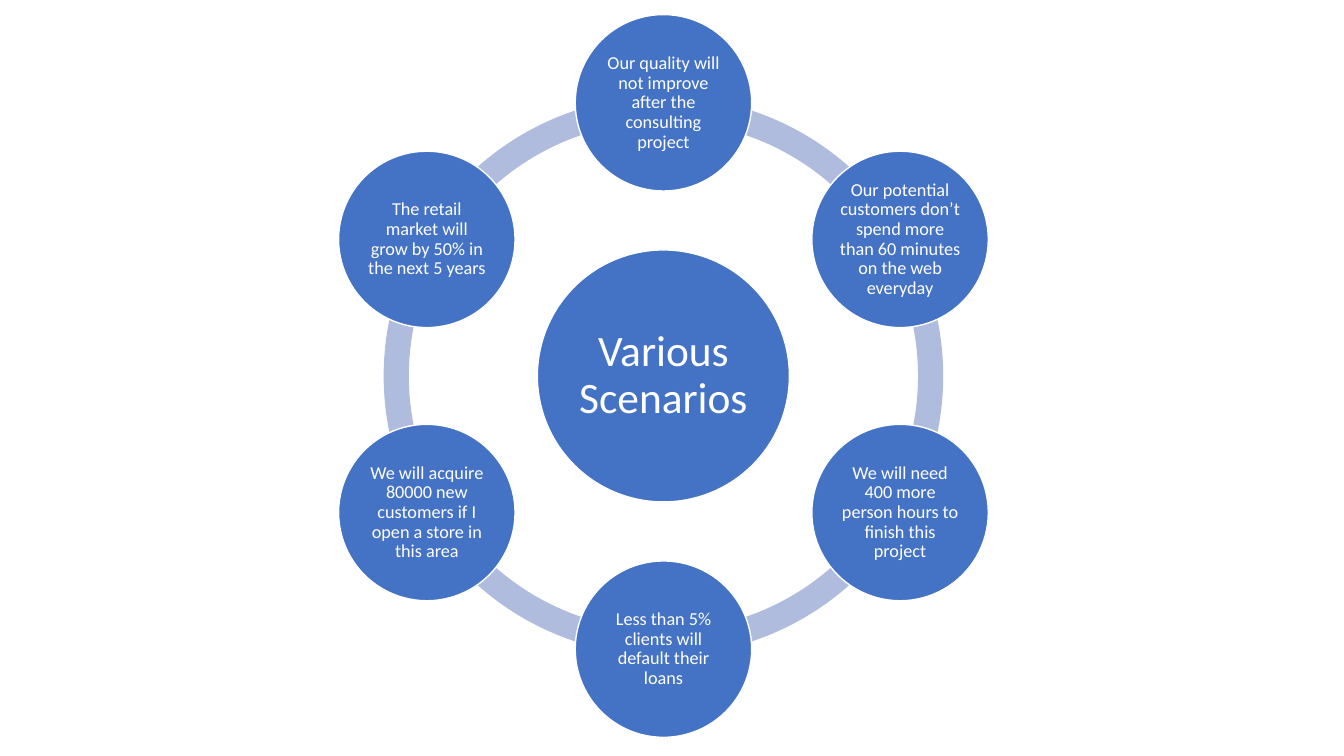
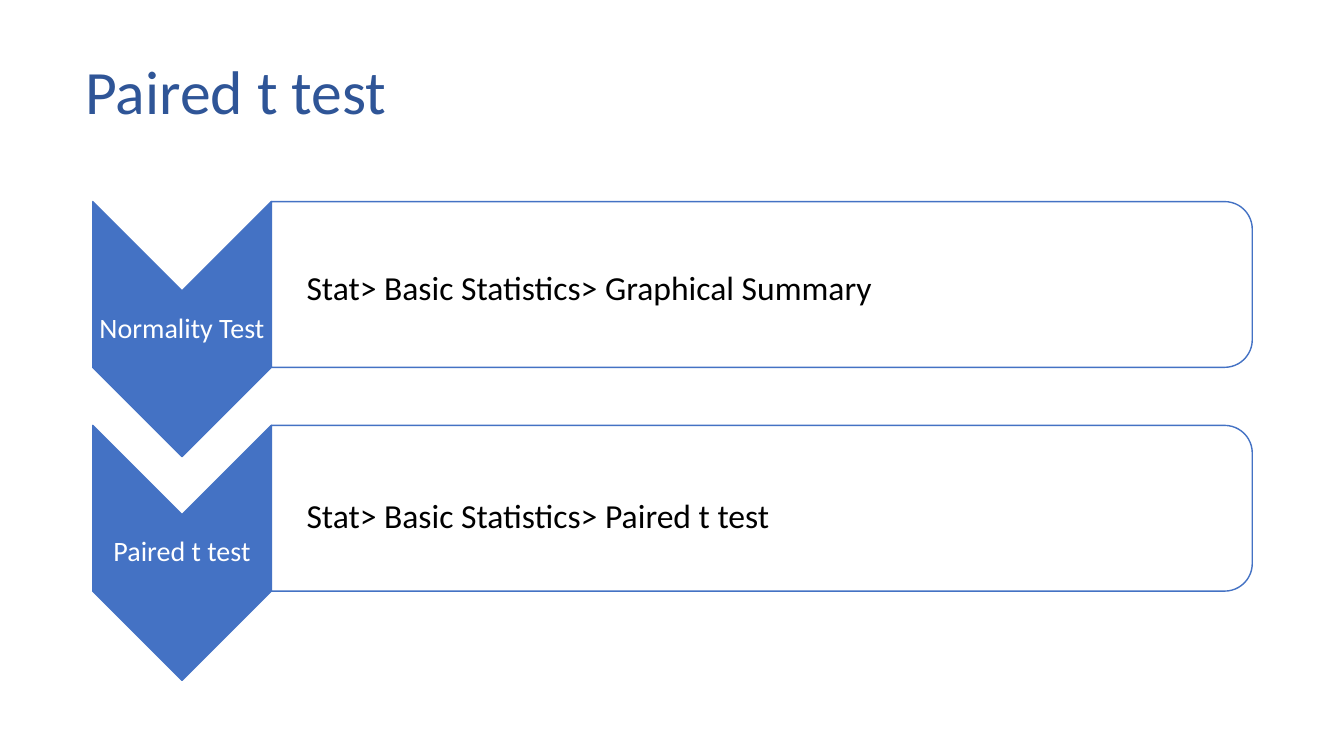
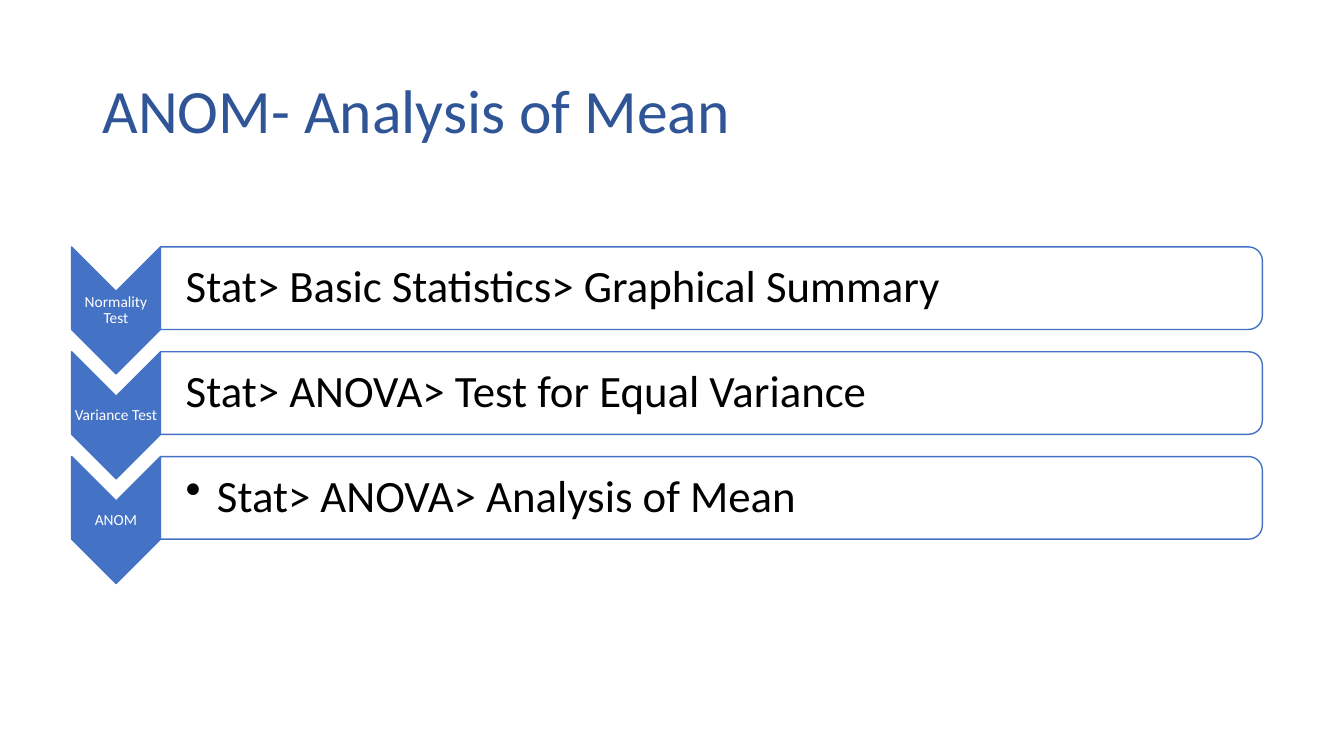
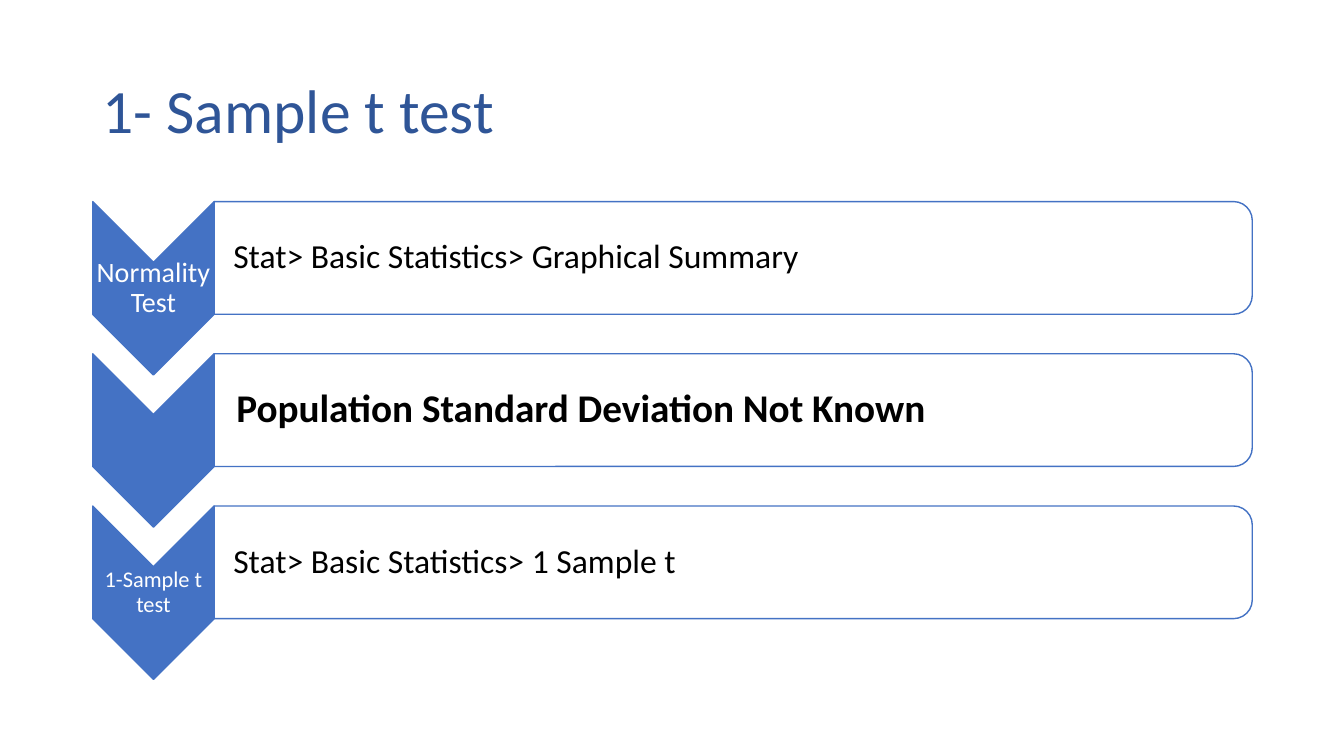
from math import cos, radians, sin

from lxml.etree import SubElement
from pptx import Presentation
from pptx.dml.color import RGBColor
from pptx.enum.shapes import MSO_SHAPE as SHAPE
from pptx.enum.text import MSO_ANCHOR as ANCHOR, PP_ALIGN as ALIGN
from pptx.oxml.ns import qn
from pptx.util import Inches, Pt

BLUE = RGBColor(0x44, 0x72, 0xC4)
DARK_BLUE = RGBColor(0x2F, 0x55, 0x97)
PALE_BLUE = RGBColor(0xB0, 0xBC, 0xDE)
WHITE = RGBColor(0xFF, 0xFF, 0xFF)
BLACK = RGBColor(0, 0, 0)
FONT = "Calibri"
SLIDE_SIZE = 13.33, 7.5

# Scenario wheel, clockwise from the top
HUB = "Various Scenarios"
SCENARIOS = [
    "Our quality will not improve after the consulting project",
    "Our potential customers don’t spend more than 60 minutes on the web everyday",
    "We will need 400 more person hours to finish this project",
    "Less than 5% clients will default their loans",
    "We will acquire 80000 new customers if I open a store in this area",
    "The retail market will grow by 50% in the next 5 years",
]
WHEEL_CENTER = 6.58, 3.73
ORBIT = 2.71
HUB_SIZE, NODE_SIZE, RING_SIZE = 2.5, 1.75, 5.55
RING_THICKNESS = 0.045

# Chevron lists; a step's "drop" lowers its text below the middle of the panel
PROCEDURES = [
    {
        "title": "Paired t test", "title_box": (0.75, 0.4, 11.67, 1.08),
        "left": 0.92, "top": 2, "right": 12.42, "chevron": 2.53, "pitch": 2.22,
        "label_size": 20, "text_size": 24, "inset": 0.35, "spacing": 1,
        "steps": [
            {"label": "Normality Test", "drop": 0.03,
             "text": "Stat> Basic Statistics> Graphical Summary"},
            {"label": "Paired t test", "drop": 0.07,
             "text": "Stat> Basic Statistics> Paired t test"},
        ],
    },
    {
        "title": "ANOM- Analysis of Mean", "title_box": (0.92, 0.4, 11.5, 1.45),
        "left": 0.71, "top": 2.45, "right": 12.52, "chevron": 1.26, "pitch": 1.04,
        "label_size": 11, "text_size": 32, "inset": 0.25, "spacing": 0.9,
        "steps": [
            {"label": "Normality Test",
             "text": "Stat> Basic Statistics> Graphical Summary"},
            {"label": "Variance Test", "text": "Stat> ANOVA> Test for Equal Variance"},
            {"label": "ANOM", "text": "Stat> ANOVA> Analysis of Mean",
             "hanging": 0.31},
        ],
    },
    {
        "title": "1- Sample t test", "title_box": (0.92, 0.4, 11.5, 1.45),
        "left": 0.92, "top": 2, "right": 12.42, "chevron": 1.72, "pitch": 1.51,
        "label_size": 20, "text_size": 24, "inset": 0.19, "spacing": 0.9,
        "steps": [
            {"label": "Normality Test",
             "text": "Stat> Basic Statistics> Graphical Summary"},
            {"label": "", "text": "Population Standard Deviation Not Known",
             "text_size": 28, "bold": True, "inset": 0.22},
            {"label": "1-Sample t test", "label_size": 16,
             "text": "Stat> Basic Statistics> 1 Sample t"},
        ],
    },
]
CHEVRON_ASPECT = 0.7
PANEL_SHARE = 0.65


def add_shape(slide, kind, box, fill, line=None, rotation=0):
    shape = slide.shapes.add_shape(kind, *map(Inches, box))
    shape.shadow.inherit = False
    shape.rotation = rotation
    shape.fill.solid()
    shape.fill.fore_color.rgb = fill
    if line is None:
        shape.line.fill.background()
    else:
        shape.line.color.rgb = line
        shape.line.width = Pt(1)
    return shape


def add_turned(slide, kind, box, fill, line):
    """Add a shape turned by 90 degrees that covers box once turned."""
    left, top, width, height = box
    shift = (width - height) / 2
    unturned = left + shift, top - shift, height, width
    return add_shape(slide, kind, unturned, fill, line, rotation=90)


def write(shape, text, size, color, align=ALIGN.LEFT, spacing=0.9,
          margins=(0.02, 0.02, 0.02, 0.02), bold=False, hanging=0):
    """Fill a shape with one paragraph; a hanging indent brings a bullet."""
    frame = shape.text_frame
    left, top, right, bottom = map(Inches, margins)
    frame_format = {
        "word_wrap": True, "vertical_anchor": ANCHOR.MIDDLE,
        "margin_left": left, "margin_top": top,
        "margin_right": right, "margin_bottom": bottom,
    }
    for name, value in frame_format.items():
        setattr(frame, name, value)
    paragraph = frame.paragraphs[0]
    if hanging:
        properties = paragraph._p.get_or_add_pPr()
        properties.set("marL", str(Inches(hanging)))
        properties.set("indent", str(-Inches(hanging)))
        SubElement(properties, qn("a:buChar")).set("char", "•")
    paragraph.alignment = align
    paragraph.line_spacing = spacing
    run = paragraph.add_run()
    run.text = text
    for name, value in {"name": FONT, "size": Pt(size), "bold": bold}.items():
        setattr(run.font, name, value)
    run.font.color.rgb = color


def add_text(slide, box, *args, **options):
    write(slide.shapes.add_textbox(*map(Inches, box)), *args, **options)


def around(center, size):
    """Return the square box of the given size around a point."""
    return center[0] - size / 2, center[1] - size / 2, size, size


def add_circle(slide, center, size, text, text_size, margin):
    circle = add_shape(slide, SHAPE.OVAL, around(center, size), BLUE, WHITE)
    write(circle, text, text_size, WHITE, ALIGN.CENTER, margins=(margin,) * 4)


def build_wheel(slide):
    step = 360 / len(SCENARIOS)
    angles = [(270 + index * step) % 360 for index in range(len(SCENARIOS))]
    for angle in angles:
        arc = add_shape(slide, SHAPE.BLOCK_ARC, around(WHEEL_CENTER, RING_SIZE), PALE_BLUE)
        # Angles are stored as 60000ths of a degree, adjustments as 100000ths
        arc.adjustments[0] = angle * 0.6
        arc.adjustments[1] = (angle + step) % 360 * 0.6
        arc.adjustments[2] = RING_THICKNESS
    add_circle(slide, WHEEL_CENTER, HUB_SIZE, HUB, 31, 0.04)
    for angle, scenario in zip(angles, SCENARIOS):
        center = (WHEEL_CENTER[0] + ORBIT * cos(radians(angle)),
                  WHEEL_CENTER[1] + ORBIT * sin(radians(angle)))
        add_circle(slide, center, NODE_SIZE, scenario, 13, 0.02)


def build_procedure(slide, procedure):
    add_text(slide, procedure["title_box"], procedure["title"], 44, DARK_BLUE,
             margins=(0.1, 0.05, 0.1, 0.05))
    left, height = procedure["left"], procedure["chevron"]
    width = height * CHEVRON_ASPECT
    panel_left = left + width
    panel_width = procedure["right"] - panel_left
    panel_height = height * PANEL_SHARE
    for index, step in enumerate(procedure["steps"]):
        style = {**procedure, **step}
        top = procedure["top"] + index * procedure["pitch"]
        add_turned(slide, SHAPE.CHEVRON, (left, top, width, height), BLUE, BLUE)
        if step["label"]:
            add_text(slide, (left, top + width / 2, width, height - width),
                     step["label"], style["label_size"], WHITE, ALIGN.CENTER,
                     margins=(0.01,) * 4)
        add_turned(slide, SHAPE.ROUND_2_SAME_RECTANGLE,
                   (panel_left, top, panel_width, panel_height), WHITE, BLUE)
        add_text(slide,
                 (panel_left, top + style.get("drop", 0), panel_width, panel_height),
                 step["text"], style["text_size"], BLACK, spacing=style["spacing"],
                 margins=(style["inset"], 0.02, 0.02, 0.02),
                 bold=style.get("bold", False), hanging=style.get("hanging", 0))


def main():
    presentation = Presentation()
    presentation.slide_width, presentation.slide_height = map(Inches, SLIDE_SIZE)
    blank = presentation.slide_layouts[6]
    build_wheel(presentation.slides.add_slide(blank))
    for procedure in PROCEDURES:
        build_procedure(presentation.slides.add_slide(blank), procedure)
    presentation.save("out.pptx")


if __name__ == "__main__":
    main()
